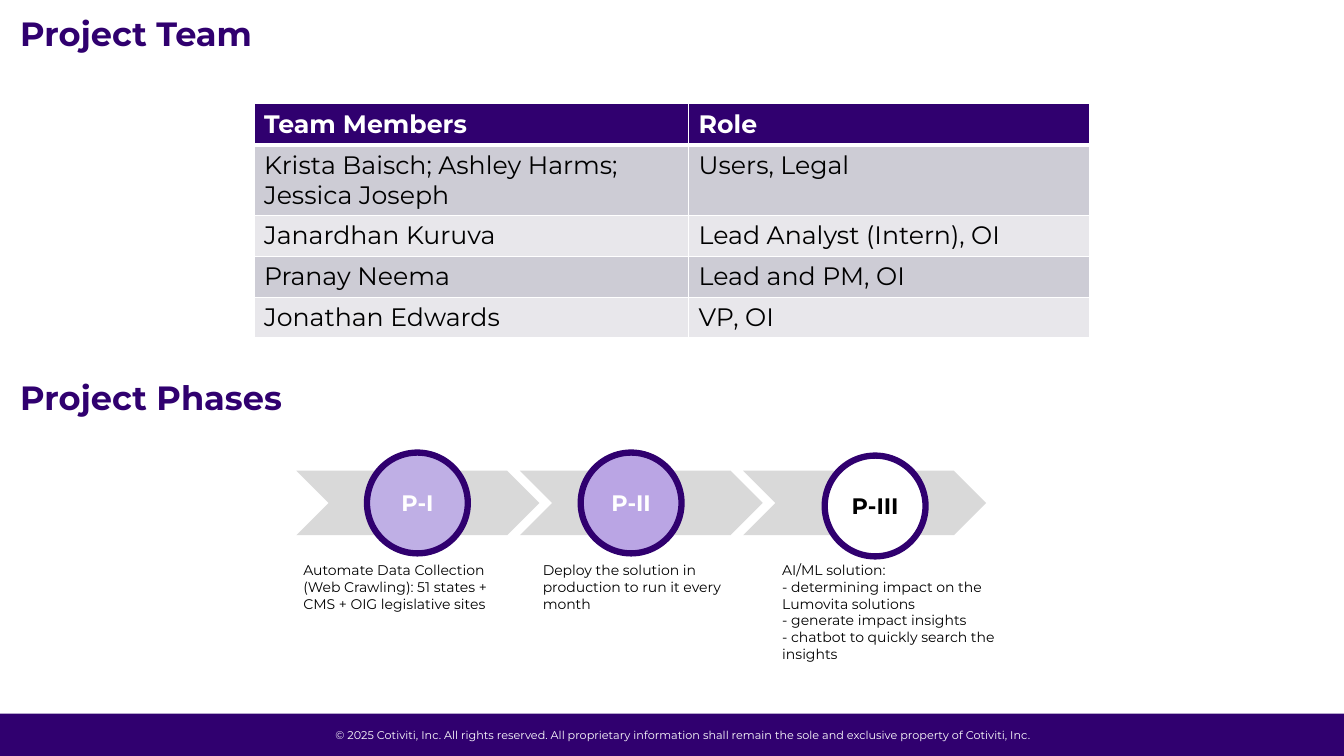
from dataclasses import dataclass

from lxml.etree import SubElement
from pptx import Presentation
from pptx.dml.color import RGBColor
from pptx.enum.shapes import MSO_SHAPE
from pptx.enum.text import MSO_ANCHOR, PP_ALIGN
from pptx.oxml.ns import qn
from pptx.util import Inches, Pt


@dataclass(frozen=True)
class Theme:
    font: str = "Montserrat"
    purple: str = "30006F"
    white: str = "FFFFFF"
    black: str = "000000"
    arrow: str = "D9D9D9"
    bands: tuple = ("CDCCD5", "E8E7EB")
    heading_size: int = 24
    table_size: int = 18
    phase_size: int = 16
    detail_size: int = 10
    footer_size: int = 8


THEME = Theme()

TEAM = [
    ("Team Members", "Role"),
    ("Krista Baisch; Ashley Harms; Jessica Joseph", "Users, Legal"),
    ("Janardhan Kuruva", "Lead Analyst (Intern), OI"),
    ("Pranay Neema", "Lead and PM, OI"),
    ("Jonathan Edwards", "VP, OI"),
]

PHASES = [
    {"label": "P-I", "fill": "BFAFE5", "color": THEME.white,
     "circle": (0.7, 0), "detail_width": 2.25,
     "details": ["Automate Data Collection (Web Crawling): 51 states + CMS + OIG legislative sites"]},
    {"label": "P-II", "fill": "BAA5E4", "color": THEME.white,
     "circle": (2.82, 0), "detail_width": 2.25,
     "details": ["Deploy the solution in production to run it every month"]},
    {"label": "P-III", "fill": THEME.white, "color": THEME.black,
     "circle": (5.24, 0.03), "detail_width": 2.38,
     "details": ["AI/ML solution:",
                 "- determining impact on the Lumovita solutions",
                 "- generate impact insights",
                 "- chatbot to quickly search the insights"]},
]

COPYRIGHT = ("© 2025 Cotiviti, Inc. All rights reserved. All proprietary information "
             "shall remain the sole and exclusive property of Cotiviti, Inc.")


def set_values(target, values):
    for name, value in values.items():
        setattr(target, name, value)


def write_text(frame, lines, size, color, bold=False, frame_format=None, para_format=None):
    set_values(frame, {"word_wrap": True, **(frame_format or {})})
    for index, line in enumerate(lines):
        para = frame.add_paragraph() if index else frame.paragraphs[0]
        set_values(para, para_format or {})
        span = para.add_run()
        span.text = line
        set_values(span.font, {"name": THEME.font, "size": Pt(size), "bold": bold})
        span.font.color.rgb = RGBColor.from_string(color)


def add_text(page, box, lines, size, color, **formats):
    shape = page.shapes.add_textbox(*map(Inches, box))
    write_text(shape.text_frame, lines, size, color, **formats)


def add_filled_shape(page, kind, box, fill, line=None):
    shape = page.shapes.add_shape(kind, *map(Inches, box))
    shape.shadow.inherit = False
    shape.fill.solid()
    shape.fill.fore_color.rgb = RGBColor.from_string(fill)
    if line:
        shape.line.color.rgb = RGBColor.from_string(line)
        shape.line.width = Pt(4.5)
    else:
        shape.line.fill.background()
    return shape


def add_heading(page, box, title):
    margins = dict.fromkeys(("margin_left", "margin_top", "margin_right", "margin_bottom"), 0)
    add_text(page, box, [title], THEME.heading_size, THEME.purple, bold=True,
             frame_format={"vertical_anchor": MSO_ANCHOR.MIDDLE, **margins},
             para_format={"line_spacing": 0.9})


def add_borders(cell, widths):
    properties = cell._tc.get_or_add_tcPr()
    for side, width in widths.items():
        line = SubElement(properties, qn(f"a:ln{side}"), w=str(Pt(width)))
        fill = SubElement(line, qn("a:solidFill"))
        SubElement(fill, qn("a:srgbClr"), val=THEME.white)


def add_team_table(page, box):
    table = page.shapes.add_table(len(TEAM), len(TEAM[0]), *map(Inches, box)).table
    for column, width in zip(table.columns, (4.31, 3.98)):
        column.width = Inches(width)
    for row_index, row in enumerate(TEAM):
        header = row_index == 0
        table.rows[row_index].height = Inches(box[3] / len(TEAM))
        fill = THEME.purple if header else THEME.bands[(row_index - 1) % 2]
        for column_index, text in enumerate(row):
            cell = table.cell(row_index, column_index)
            add_borders(cell, {"L": 1, "R": 1, "T": 3 if row_index == 1 else 1,
                               "B": 3 if header else 1})
            cell.fill.solid()
            cell.fill.fore_color.rgb = RGBColor.from_string(fill)
            write_text(cell.text_frame, [text], THEME.table_size,
                       THEME.white if header else THEME.black, bold=header)


def add_phases(page, box):
    left, top, width, height = box
    arrow_width, arrow_height, circle_size = 2.41, 0.64, 1
    arrow_step = (width - arrow_width) / (len(PHASES) - 1)
    for index in range(len(PHASES)):
        add_filled_shape(page, MSO_SHAPE.CHEVRON,
                         (left + index * arrow_step, top + 0.18, arrow_width, arrow_height),
                         THEME.arrow)
    for index, phase in enumerate(PHASES):
        across, down = phase["circle"]
        circle = add_filled_shape(page, MSO_SHAPE.OVAL,
                                  (left + across, top + down, circle_size, circle_size),
                                  phase["fill"], THEME.purple)
        write_text(circle.text_frame, [phase["label"]], THEME.phase_size, phase["color"],
                   bold=True, frame_format={"vertical_anchor": MSO_ANCHOR.MIDDLE},
                   para_format={"alignment": PP_ALIGN.CENTER})
        add_text(page, (left - 0.03 + index * 2.375, top + 1.03,
                        phase["detail_width"], height - 1.03),
                 phase["details"], THEME.detail_size, THEME.black)


def add_footer(page, box):
    left, top, width, height = box
    add_filled_shape(page, MSO_SHAPE.RECTANGLE, box, THEME.purple)
    add_text(page, (left + 3.21, top + 0.1, 7.14, 0.24), [COPYRIGHT],
             THEME.footer_size, THEME.white, frame_format={"word_wrap": False},
             para_format={"alignment": PP_ALIGN.CENTER})


def main():
    deck = Presentation()
    set_values(deck, {"slide_width": Inches(13.33), "slide_height": Inches(7.5)})
    page = deck.slides.add_slide(deck.slide_layouts[6])
    add_footer(page, (0, 7.08, 13.33, 0.42))
    add_heading(page, (0.2, 0.12, 12.33, 0.46), "Project Team")
    add_team_table(page, (2.52, 1.03, 8.29, 2.03))
    add_heading(page, (0.2, 3.73, 6.67, 0.46), "Project Phases")
    add_phases(page, (2.94, 4.49, 6.84, 2.18))
    deck.save("out.pptx")


if __name__ == "__main__":
    main()
